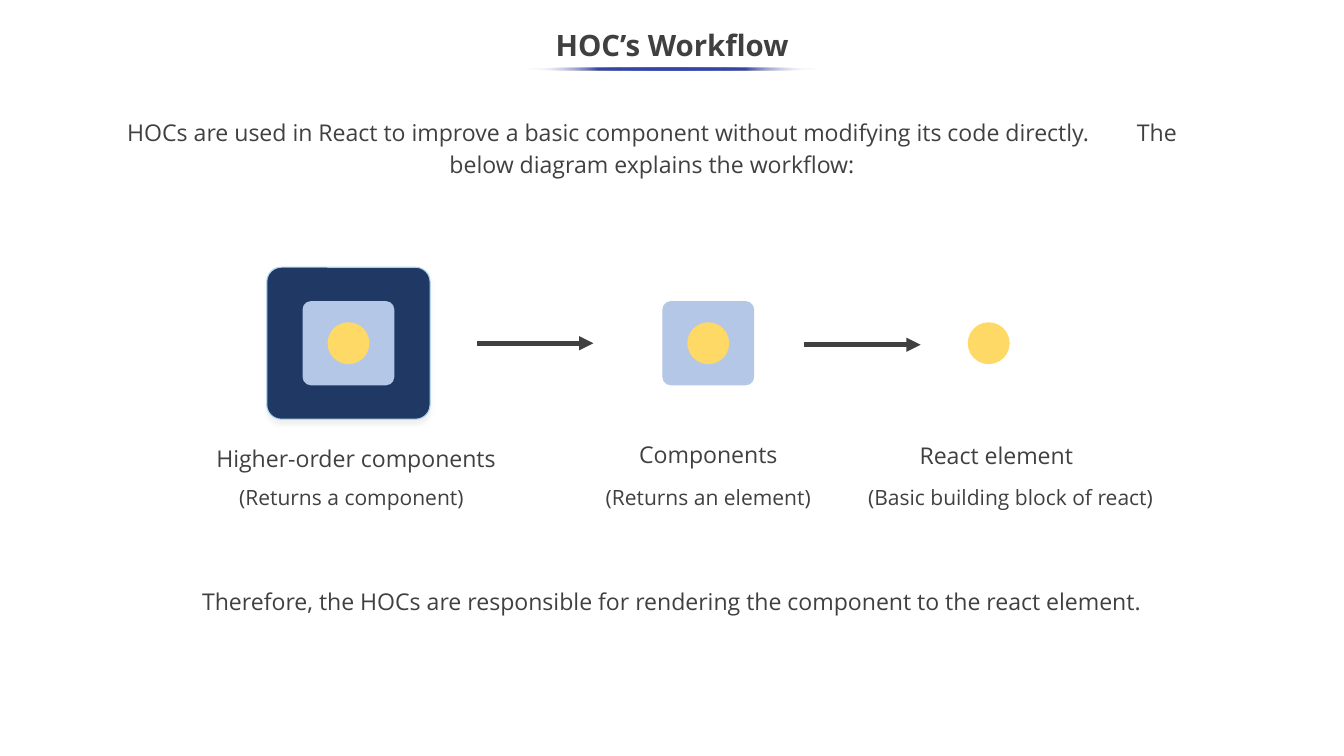
from lxml import etree
from pptx import Presentation
from pptx.dml.color import RGBColor
from pptx.enum.shapes import MSO_CONNECTOR, MSO_SHAPE
from pptx.enum.text import MSO_ANCHOR, PP_ALIGN
from pptx.oxml import parse_xml
from pptx.oxml.ns import nsdecls, qn
from pptx.util import Inches, Pt

ROUND, OVAL = MSO_SHAPE.ROUNDED_RECTANGLE, MSO_SHAPE.OVAL
STRAIGHT = MSO_CONNECTOR.STRAIGHT
CENTER = PP_ALIGN.CENTER
TOP, MIDDLE = MSO_ANCHOR.TOP, MSO_ANCHOR.MIDDLE

FONT = "Open Sans"
COLORS = {
    "text": "404040",
    "accent": "3645A9",
    "fade": "FFFFFF",
    "hoc": "203864",
    "hoc_line": "A8D3EE",
    "shadow": "F2F2F2",
    "component": "B4C7E7",
    "element": "FFD966",
}
LAYERS = [
    (OVAL, 0.54, 0.54, "element", "element"),
    (ROUND, 1.2, 1.1, "component", "component"),
    (ROUND, 2.16, 2.01, "hoc", "hoc_line"),
]


def rgb(name):
    """Return the named colour."""
    return RGBColor.from_string(COLORS[name])


def add_text(s, box, text, size=22, bold=False, spacing=1.0, anchor=TOP, inset=0.05, gap=39.5):
    """Add centred text; a tab mark in it becomes one space widened by gap points."""
    tf = s.shapes.add_textbox(*map(Inches, box)).text_frame
    tf.word_wrap = True
    tf.vertical_anchor = anchor
    tf.margin_top = tf.margin_bottom = Inches(inset)
    p = tf.paragraphs[0]
    p.alignment = CENTER
    p.line_spacing = spacing
    before, tab, after = text.partition("\t")
    for part in filter(None, (before, tab, after)):
        r = p.add_run()
        r.text = part.replace("\t", " ")
        r.font.name, r.font.size, r.font.bold = FONT, Pt(size), bold
        r.font.color.rgb = rgb("text")
        if part == "\t":
            r.font._element.set("spc", str(int(gap * 100)))


def add_shape(s, kind, box, fill, line):
    """Add a filled, outlined shape without a shadow."""
    sp = s.shapes.add_shape(kind, *map(Inches, box))
    sp.shadow.inherit = False
    sp.fill.solid()
    sp.fill.fore_color.rgb = rgb(fill)
    sp.line.color.rgb = rgb(line)
    sp.line.width = Pt(1)
    if kind == ROUND:
        sp.adjustments[0] = 0.095
    return sp


def add_shadow(sp):
    """Give a shape a soft shadow below it."""
    effects = sp._element.spPr.find(qn("a:effectLst"))
    effects.append(parse_xml(
        f'<a:outerShdw {nsdecls("a")} blurRad="{Pt(4)}" dist="{Pt(4)}" dir="5400000" '
        f'algn="t" rotWithShape="0"><a:srgbClr val="{COLORS["shadow"]}"/></a:outerShdw>'))


def add_underline(s, box):
    """Add a thin ellipse that fades out at both ends."""
    sp = add_shape(s, OVAL, box, "accent", "accent")
    sp.line.fill.background()
    stops = ""
    for pos in range(0, 101, 25):
        end = pos in (0, 100)
        color = COLORS["fade" if end else "accent"]
        alpha = '<a:alpha val="0"/>' if end else ""
        stops += f'<a:gs pos="{pos * 1000}"><a:srgbClr val="{color}">{alpha}</a:srgbClr></a:gs>'
    spPr = sp._element.spPr
    spPr.replace(spPr.find(qn("a:solidFill")), parse_xml(
        f'<a:gradFill {nsdecls("a")} rotWithShape="1"><a:gsLst>{stops}</a:gsLst>'
        '<a:lin ang="10800000" scaled="0"/></a:gradFill>'))


def add_arrow(s, x, y, length):
    """Add a thick arrow pointing right."""
    cn = s.shapes.add_connector(STRAIGHT, Inches(x), Inches(y), Inches(x + length), Inches(y))
    cn.line.color.rgb = rgb("text")
    cn.line.width = Pt(4.5)
    etree.SubElement(cn.line._get_or_add_ln(), qn("a:tailEnd"), type="triangle")
    etree.SubElement(cn._element.spPr, qn("a:effectLst"))


def add_header(s, x, y, w):
    """Place the title with its underline."""
    add_text(s, (x, y, w, 0.75), "HOC’s Workflow", size=28, bold=True, spacing=0.9, anchor=MIDDLE)
    add_underline(s, (x + (w - 3.86) / 2, y + 0.64, 3.86, 0.04))


def add_stage(s, cx, cy, depth, label, note):
    """Place nested layers around a centre, with a label and a note below."""
    for kind, w, h, fill, line in reversed(LAYERS[:depth]):
        sp = add_shape(s, kind, (cx - w / 2, cy - h / 2, w, h), fill, line)
        if fill == "hoc":
            add_shadow(sp)
    for (text, dx, dy, spacing), w, size in ((label, 5.25, 22), (note, 4.63, 20)):
        add_text(s, (cx + dx - w / 2, cy + dy, w, 0.47), text, size=size, spacing=spacing)


def add_workflow(s, y):
    """Place the three stages and the arrows between them."""
    add_stage(s, 4.61, y, 3, ("Higher-order components", 0.1, 1.23, 1.15),
              ("(Returns a component)", 0.04, 1.77, 1.15))
    add_stage(s, 9.37, y, 2, ("Components", 0, 1.23, 1.0),
              ("(Returns an element)", 0, 1.77, 1.15))
    add_stage(s, 13.08, y, 1, ("React element", 0.1, 1.25, 1.0),
              ("(Basic building block of react)", 0.29, 1.77, 1.15))
    add_arrow(s, 6.31, y, 1.54)
    add_arrow(s, 10.64, y + 0.02, 1.54)


def main():
    """Build the slide and save it."""
    prs = Presentation()
    prs.slide_width, prs.slide_height = Inches(17.78), Inches(10)
    s = prs.slides.add_slide(prs.slide_layouts[6])
    add_header(s, 0, 0.25, 17.78)
    add_text(s, (1.57, 1.52, 14.11, 0.99),
             "HOCs are used in React to improve a basic component without modifying its code "
             "directly.\tThe below diagram explains the workflow:", spacing=1.14, inset=0)
    add_workflow(s, 4.54)
    add_text(s, (1.67, 7.54, 14.43, 0.6),
             "Therefore, the HOCs are responsible for rendering the component to the react element.",
             spacing=1.5)
    prs.save("out.pptx")


if __name__ == "__main__":
    main()
